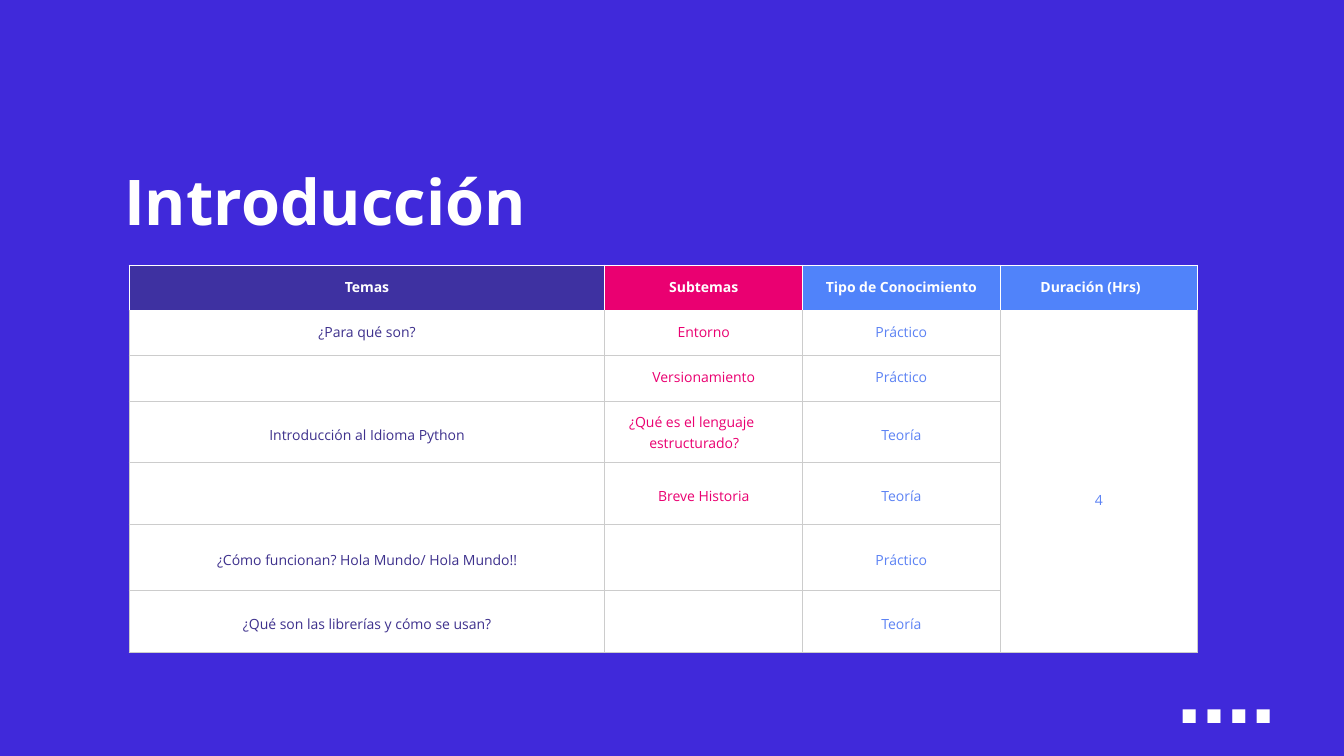
from lxml import etree
from pptx import Presentation
from pptx.dml.color import RGBColor
from pptx.enum.text import MSO_ANCHOR, MSO_AUTO_SIZE, PP_ALIGN
from pptx.oxml.ns import qn
from pptx.util import Inches, Pt

LEFT, CENTER = PP_ALIGN.LEFT, PP_ALIGN.CENTER
TOP, MIDDLE, BOTTOM = MSO_ANCHOR.TOP, MSO_ANCHOR.MIDDLE, MSO_ANCHOR.BOTTOM
FIT_SHAPE = MSO_AUTO_SIZE.SHAPE_TO_FIT_TEXT

COLORS = {
    "background": "4029DA",
    "white": "FFFFFF",
    "grid": "CCCCCC",
    "indigo": "3E31A1",
    "indigo_text": "3E318D",
    "pink": "EA0071",
    "blue": "5083FA",
    "blue_text": "5D83F4",
}


def color(name):
    return RGBColor.from_string(COLORS[name])


def write(tf, text, size=10, fill="white", bold=False, font="Open Sans",
          align=CENTER, spacing=None, left=0, first=0):
    """Fill the first paragraph; left and first are indents in inches."""
    p = tf.paragraphs[0]
    p.alignment = align
    if spacing:
        p.line_spacing = spacing
    if left:
        pPr = p._p.get_or_add_pPr()
        pPr.set("marL", str(Inches(left)))
        pPr.set("indent", str(Inches(first)))
    r = p.add_run()
    r.text = text
    r.font.size = Pt(size)
    r.font.bold = bold
    r.font.name = font
    r.font.color.rgb = color(fill)


prs = Presentation()
prs.slide_width, prs.slide_height = Inches(13.33), Inches(7.5)
s = prs.slides.add_slide(prs.slide_layouts[6])
s.background.fill.solid()
s.background.fill.fore_color.rgb = color("background")

# Corner dots and title
text_boxes = [
    ("….", (11.55, 6.35, 1.4, 1.15), TOP,
     dict(size=75, font="Cabin", spacing=0.7)),
    ("Introducción", (1.1, 1.55, 8.82, 0.94), BOTTOM, dict(size=45)),
]
for text, box, anchor, style in text_boxes:
    sp = s.shapes.add_textbox(*map(Inches, box))
    tf = sp.text_frame
    tf.word_wrap = True
    tf.vertical_anchor = anchor
    tf.margin_left = tf.margin_right = Inches(0.13)
    tf.margin_top = tf.margin_bottom = Inches(0.13)
    if anchor == TOP:
        tf.auto_size = FIT_SHAPE
    write(tf, text, bold=True, align=LEFT, **style)

# Course table
col_widths = [4.72, 1.96, 1.96, 1.96]
row_heights = [0.45, 0.45, 0.45, 0.61, 0.61, 0.66, 0.61]
top_margins = [0.12, 0.12, 0.12, 0.24, 0.24, 0.26, 0.24]
header_fills = ["indigo", "pink", "blue", "blue"]
text_colors = ["indigo_text", "pink", "blue_text", "blue_text"]
rows = [
    ["Temas", "Subtemas", "Tipo de Conocimiento", "Duración (Hrs)"],
    ["¿Para qué son?", "Entorno", "Práctico", "4"],
    ["", "Versionamiento", "Práctico", ""],
    ["Introducción al Idioma Python", "¿Qué es el lenguaje estructurado?", "Teoría", ""],
    ["", "Breve Historia", "Teoría", ""],
    ["¿Cómo funcionan? Hola Mundo/ Hola Mundo!!", "", "Práctico", ""],
    ["¿Qué son las librerías y cómo se usan?", "", "Teoría", ""],
]
# Paragraph settings of the cells that are not simply centred
special_styles = {
    (0, 3): dict(align=LEFT, left=0.4),
    (3, 1): dict(align=LEFT, left=0.44, first=-0.2, spacing=1.15),
}

table = s.shapes.add_table(
    len(rows), len(col_widths), Inches(1.28), Inches(2.63),
    Inches(sum(col_widths)), Inches(sum(row_heights))).table
for column, width in zip(table.columns, col_widths):
    column.width = Inches(width)
for row, height in zip(table.rows, row_heights):
    row.height = Inches(height)

for i, texts in enumerate(rows):
    for j, text in enumerate(texts):
        cell = table.cell(i, j)
        cell.margin_left = cell.margin_right = cell.margin_bottom = 0
        cell.margin_top = Inches(top_margins[i] if text else 0)
        cell.fill.solid()
        cell.fill.fore_color.rgb = color("white" if i else header_fills[j])

        tcPr = cell._tc.get_or_add_tcPr()
        for k, side in enumerate(("lnL", "lnR", "lnT", "lnB")):
            by_header = i == 0 or (i == 1 and side == "lnT")
            ln = etree.Element(qn(f"a:{side}"), w=str(Pt(0.75)))
            fill = etree.SubElement(ln, qn("a:solidFill"))
            etree.SubElement(fill, qn("a:srgbClr"),
                             val=COLORS["white" if by_header else "grid"])
            tcPr.insert(k, ln)

        if text:
            write(cell.text_frame, text, bold=i == 0,
                  fill=text_colors[j] if i else "white",
                  **special_styles.get((i, j), {}))

table.cell(3, 1).margin_top = Inches(0.08)
hours = table.cell(1, 3)
hours.merge(table.cell(len(rows) - 1, 3))
hours.vertical_anchor = MIDDLE
hours.margin_top = Inches(0.38)

prs.save("out.pptx")
